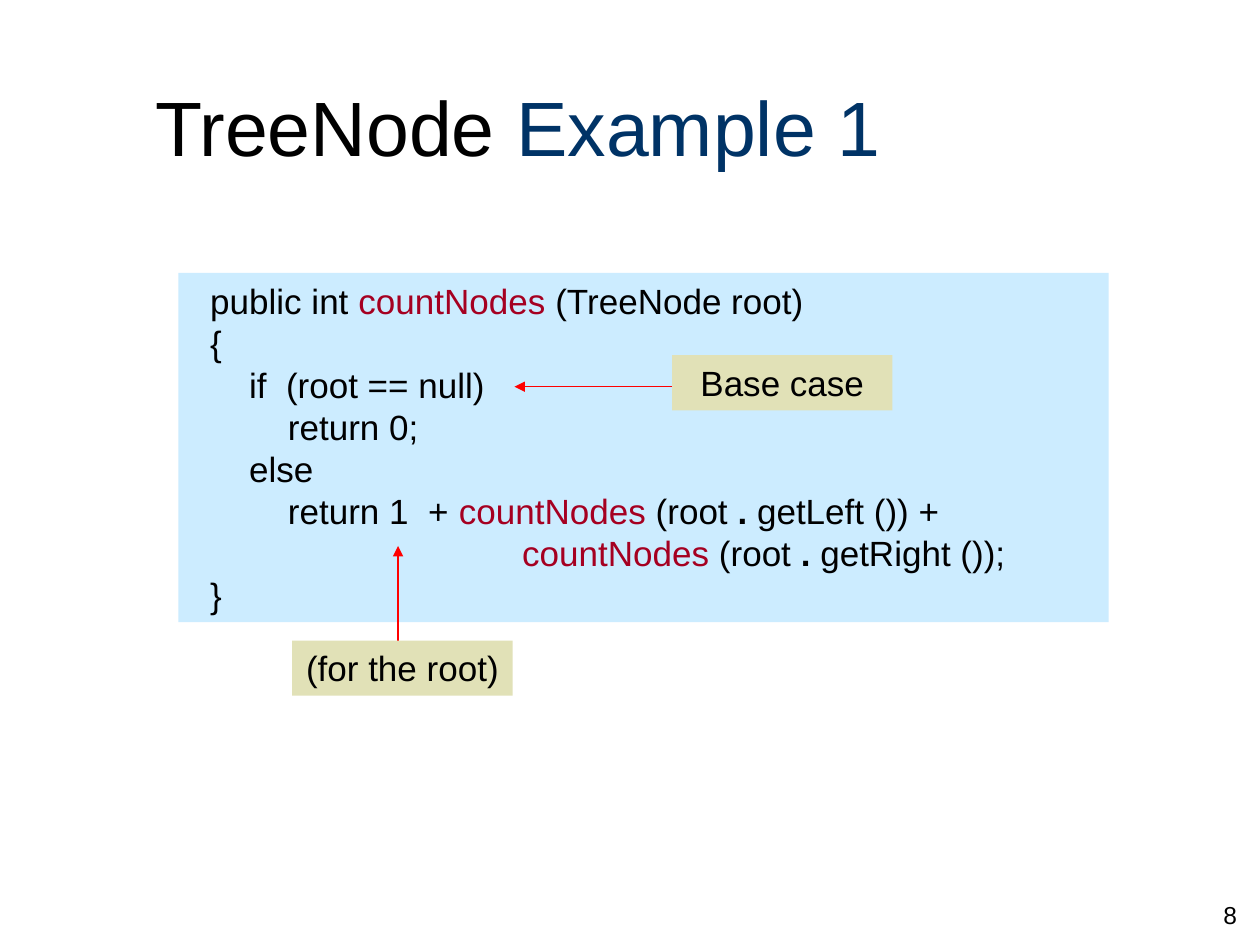
from lxml.etree import SubElement
from pptx import Presentation
from pptx.dml.color import RGBColor
from pptx.enum.shapes import MSO_CONNECTOR, MSO_SHAPE
from pptx.enum.text import MSO_ANCHOR, MSO_AUTO_SIZE, PP_ALIGN
from pptx.oxml.ns import qn
from pptx.util import Pt

BLACK, NAVY, CRIMSON, RED = "000000", "003366", "A50021", "FF0000"
SKY, SAND = "CCECFF", "E1E1B7"

TITLE = [("TreeNode", {}), (" Example 1", {"color": NAVY})]
NAME = ("countNodes", {"color": CRIMSON})
DOT = (". ", {"bold": True})
CODE = [
    (2, [("public int ", {}), NAME, (" (TreeNode root)", {})]),
    (2, [("{", {})]),
    (6, [("if  (root == null)", {})]),
    (10, [("return 0;", {})]),
    (6, [("else", {})]),
    (10, [("return 1  + ", {}), NAME, (" (root ", {}), DOT, ("getLeft ()) +", {})]),
    (34, [NAME, (" (root ", {}), DOT, ("getRight ());", {})]),
    (2, [("}", {})]),
]
LABELS = [("(for the root)", 167, 366), ("Base case", 384, 203)]
ARROWS = [(227.5, 378.5, 227.5, 312), (405, 221, 294, 221)]


def rgb(value):
    return RGBColor.from_string(value)


def write(box, lines, size, align=PP_ALIGN.LEFT, anchor=MSO_ANCHOR.TOP):
    frame = box.text_frame
    settings = {"word_wrap": True, "auto_size": MSO_AUTO_SIZE.NONE,
                "vertical_anchor": anchor}
    for name, value in settings.items():
        setattr(frame, name, value)
    for index, spans in enumerate(lines):
        para = frame.add_paragraph() if index else frame.paragraphs[0]
        para.alignment = align
        for text, changes in spans:
            span = para.add_run()
            span.text = text
            look = {"name": "Arial", "size": Pt(size), "bold": False,
                    "color": BLACK} | changes
            span.font.color.rgb = rgb(look.pop("color"))
            for name, value in look.items():
                setattr(span.font, name, value)


def add_panel(page, place, fill):
    panel = page.shapes.add_shape(MSO_SHAPE.RECTANGLE, *map(Pt, place))
    panel.shadow.inherit = False
    panel.fill.solid()
    panel.fill.fore_color.rgb = rgb(fill)
    panel.line.fill.background()
    return panel


def add_arrow(page, ends):
    arrow = page.shapes.add_connector(MSO_CONNECTOR.STRAIGHT, *map(Pt, ends))
    arrow.line.color.rgb = rgb(RED)
    arrow.line.width = Pt(0.75)
    SubElement(arrow.line._get_or_add_ln(), qn("a:tailEnd"), type="triangle")
    SubElement(arrow._element.spPr, qn("a:effectLst"))


def main():
    deck = Presentation()
    deck.slide_width, deck.slide_height = Pt(720), Pt(540)
    page = deck.slides.add_slide(deck.slide_layouts[5])

    title = page.shapes.title
    place = {"left": 81.5, "top": 38, "width": 612, "height": 68}
    for name, value in place.items():
        setattr(title, name, Pt(value))
    write(title, [TITLE], 44, anchor=MSO_ANCHOR.MIDDLE)

    lines = [[(" " * indent, {}), *spans] for indent, spans in CODE]
    write(add_panel(page, (102, 156, 531.5, 199.5), SKY), lines, 20)

    for ends in ARROWS:
        add_arrow(page, ends)
    for text, left, top in LABELS:
        label = add_panel(page, (left, top, 126, 31.5), SAND)
        write(label, [[(text, {})]], 20, PP_ALIGN.CENTER)

    number = page.shapes.add_textbox(*map(Pt, (564, 511, 150, 36)))
    write(number, [[("8", {})]], 14, PP_ALIGN.RIGHT)
    deck.save("out.pptx")


if __name__ == "__main__":
    main()
